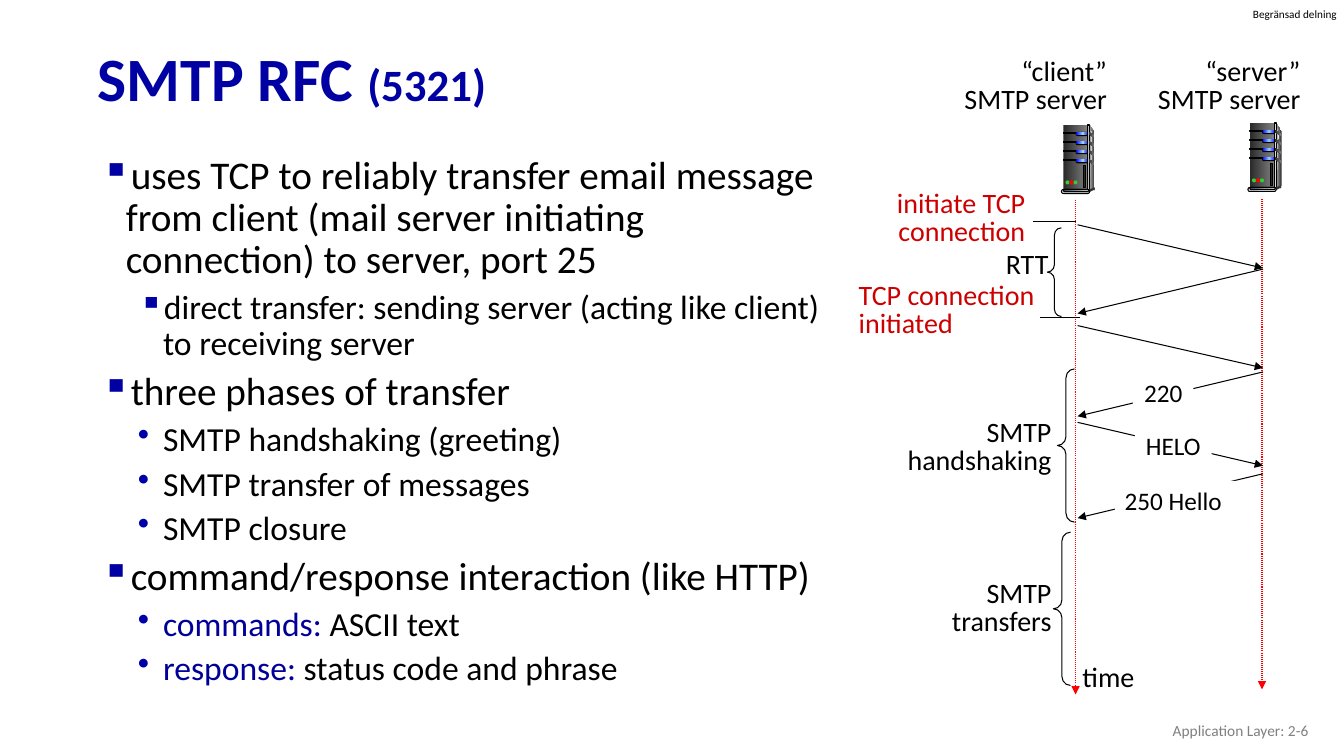
from copy import deepcopy
from dataclasses import dataclass
from typing import Any

from pptx import Presentation
from pptx.dml.color import RGBColor
from pptx.enum.dml import MSO_LINE as Dash
from pptx.enum.shapes import MSO_CONNECTOR as Connector, MSO_SHAPE as Preset
from pptx.enum.text import MSO_ANCHOR as Anchor, MSO_AUTO_SIZE as AutoSize, PP_ALIGN as Align
from pptx.oxml.ns import qn
from pptx.oxml.xmlchemy import OxmlElement
from pptx.util import Inches, Pt

BLACK = RGBColor(0x00, 0x00, 0x00)
WHITE = RGBColor(0xFF, 0xFF, 0xFF)
RED = RGBColor(0xFF, 0x00, 0x00)
CRIMSON = RGBColor(0xCC, 0x00, 0x00)
GREEN = RGBColor(0x33, 0xCC, 0x33)
NAVY = RGBColor(0x00, 0x00, 0xA3)
BULLET_BLUE = RGBColor(0x00, 0x00, 0xA8)
TERM_BLUE = RGBColor(0x00, 0x00, 0x99)
BLUE = RGBColor(0x00, 0x00, 0xFF)
SKY = RGBColor(0x99, 0xCC, 0xFF)
SLATE = RGBColor(0x44, 0x54, 0x6A)
PALE = RGBColor(0xE7, 0xE6, 0xE6)
COAL = RGBColor(0x29, 0x29, 0x29)
DARK = RGBColor(0x33, 0x33, 0x33)
GRAY = RGBColor(0x80, 0x80, 0x80)
SILVER = RGBColor(0xDD, 0xDD, 0xDD)
GLEAM = RGBColor(0xF8, 0xF8, 0xF8)

# The grid: 133.33 columns by 75 rows of square cells
CELL = Inches(0.1)
COLUMNS, ROWS = 133.33, 75


def cells(*counts):
    return [round(count * CELL) for count in counts]


def write(paragraph, text, *, size=20, color=BLACK, bold=False, font="Calibri",
          align=Align.LEFT, spacing=None, before=0):
    run = paragraph.add_run()
    run.text = text
    run.font.name, run.font.size, run.font.bold = font, Pt(size), bold
    run.font.color.rgb = color
    paragraph.alignment = align
    paragraph.line_spacing = spacing
    paragraph.space_before = Pt(before)


@dataclass
class Canvas:
    slide: Any
    shapes: Any
    line_width: float = 0.75

    def group(self):
        return Canvas(self.slide, self.shapes.add_group_shape().shapes)

    def title(self, box, parts):
        title = self.slide.shapes.title
        title.left, title.top, title.width, title.height = cells(*box)
        title.text_frame.vertical_anchor = Anchor.MIDDLE
        for text, size in parts:
            write(title.text_frame.paragraphs[0], text, size=size, color=NAVY,
                  bold=True, spacing=0.9)

    def text(self, box, lines, *, wrap=True, fill=None, inset=None, anchor=Anchor.TOP, **style):
        shape = self.shapes.add_textbox(*cells(*box))
        frame = shape.text_frame
        frame.word_wrap = wrap
        frame.auto_size = AutoSize.SHAPE_TO_FIT_TEXT
        frame.vertical_anchor = anchor
        if inset is not None:
            frame.margin_left = frame.margin_right = inset
            frame.margin_top = frame.margin_bottom = inset
        if fill:
            shape.fill.solid()
            shape.fill.fore_color.rgb = fill
        for index, line in enumerate(lines):
            paragraph = frame.add_paragraph() if index else frame.paragraphs[0]
            write(paragraph, line, **style)

    def bullets(self, box, items):
        frame = self.shapes.add_textbox(*cells(*box)).text_frame
        frame.word_wrap = True
        for index, (level, mark, term, text) in enumerate(items):
            paragraph = frame.add_paragraph() if index else frame.paragraphs[0]
            paragraph.level = level
            for part, color in ((term, TERM_BLUE), (text, BLACK)):
                if part:
                    write(paragraph, part, size=28 - 4 * level, color=color,
                          spacing=0.9, before=6)
            properties = paragraph._p.get_or_add_pPr()
            square = mark == "▪"
            properties.set("marL", str(Inches(0.76 if level else 0.39)))
            properties.set("indent", str(-Inches(0.24 if square else 0.25)))
            bullet_color = OxmlElement("a:buClr")
            value = OxmlElement("a:srgbClr")
            value.set("val", str(NAVY if square else BULLET_BLUE))
            bullet_color.append(value)
            character = OxmlElement("a:buChar")
            character.set("char", mark)
            properties.extend([bullet_color, character])

    def line(self, start, end, *, color=BLACK, dash=None, arrow=False):
        connector = self.shapes.add_connector(Connector.STRAIGHT, *cells(*start, *end))
        connector.line.color.rgb = color
        connector.line.width = Pt(self.line_width)
        if dash:
            connector.line.dash_style = dash
        if arrow:
            head = OxmlElement("a:tailEnd")
            head.set("type", "triangle")
            connector.line._get_or_add_ln().append(head)
        connector._element.spPr.append(OxmlElement("a:effectLst"))

    def paint(self, shape, colors, outlined):
        shape.shadow.inherit = False
        if not colors:
            shape.fill.background()
        elif len(colors) == 1:
            shape.fill.solid()
            shape.fill.fore_color.rgb = colors[0]
        else:
            shape.fill.gradient()
            shape.fill.gradient_angle = 0
            stops = shape._element.spPr.find(".//" + qn("a:gsLst"))
            for _ in colors[2:]:
                stops.append(deepcopy(stops[0]))
            for index, (stop, color) in enumerate(zip(shape.fill.gradient_stops, colors)):
                stop.color.rgb = color
                stop.position = index / (len(colors) - 1)
        if outlined:
            shape.line.color.rgb = BLACK
            shape.line.width = Pt(self.line_width)
        else:
            shape.line.fill.background()

    def preset(self, kind, box, *colors, outlined=False, adjust=()):
        shape = self.shapes.add_shape(kind, *cells(*box))
        for index, value in enumerate(adjust):
            shape.adjustments[index] = value
        self.paint(shape, colors, outlined)

    def pill(self, box, *colors, outlined=False):
        self.preset(Preset.ROUNDED_RECTANGLE, box, *colors, outlined=outlined, adjust=[0.5])

    def brace(self, *box):
        self.preset(Preset.LEFT_BRACE, box, outlined=True, adjust=[0.52, 0.5])

    def outline(self, points, *colors):
        first, *rest = [cells(*point) for point in points]
        builder = self.shapes.build_freeform(*first)
        builder.add_line_segments(rest, close=True)
        self.paint(builder.convert_to_shape(), colors, False)

    def server(self, left, top):
        tower = self.group()

        def box(x, y, width, height):
            return left + x, top + y, width, height

        def points(*pairs):
            return [(left + x, top + y) for x, y in pairs]

        # Case
        tower.outline(points((2.8, 0), (3.3, 0.8), (3.3, 6.2), (2.6, 6.5)), SILVER, DARK)
        tower.preset(Preset.RECTANGLE, box(0.2, 0, 2.4, 6.5), COAL, GRAY)
        tower.outline(points((2.8, 0.4), (3.1, 0.9), (2.8, 6.3)), GRAY, GLEAM)
        # Drive bays, front edge and side fins
        bays = [0.7 + 0.9 * bay for bay in range(4)]
        for y in bays:
            tower.preset(Preset.RECTANGLE, box(0.2, y, 1.4, 0.1), BLACK, outlined=True)
            tower.pill(box(1.4, y, 1.4, 0.4), BLACK)
            tower.pill(box(1.45, y, 1.3, 0.3), BLUE, SKY, BLUE)
        tower.preset(Preset.RECTANGLE, box(2.6, 0, 0.2, 6.5), DARK, SILVER, DARK, outlined=True)
        for y in bays:
            tower.outline(points((2.7, y), (3.3, y + 0.35), (3.3, y + 0.55), (2.7, y + 0.25)),
                          COAL, GRAY)
        # Foot, lights and vent
        tower.preset(Preset.OVAL, box(3.2, 6.2, 0.1, 0.3), DARK)
        tower.outline(points((2.7, 6.4), (2.7, 6.7), (3.3, 6.4), (3.3, 6.2)), DARK)
        tower.pill(box(0, 6.4, 2.8, 0.4), SILVER, outlined=True)
        tower.pill(box(0.2, 6.4, 2.5, 0.2), SLATE, PALE, outlined=True)
        for index, color in enumerate((GREEN, RED, GREEN)):
            tower.preset(Preset.OVAL, box(0.4 + 0.4 * index, 5.5, 0.4, 0.4), color)
        tower.preset(Preset.RECTANGLE, box(2.2, 4, 0.2, 2.2), COAL, outlined=True)


def main():
    presentation = Presentation()
    presentation.slide_width, presentation.slide_height = cells(COLUMNS, ROWS)
    slide = presentation.slides.add_slide(presentation.slide_layouts[5])
    canvas = Canvas(slide, slide.shapes)

    # Heading and bullets
    canvas.text((124.3, 0.7, 8.6, 1.3), ["Begränsad delning"], size=8, inset=0, wrap=False)
    canvas.title((8.7, 3.2, 115, 9.8), [("SMTP RFC ", 44), ("(5321)", 32)])
    canvas.bullets((7.6, 14.9, 75.3, 50.8), [
        (0, "▪", "", "uses TCP to reliably transfer email message from client "
                     "(mail server initiating connection) to server, port 25"),
        (1, "▪", "", "direct transfer: sending server (acting like client) to receiving server"),
        (0, "▪", "", "three phases of transfer"),
        (1, "•", "", "SMTP handshaking (greeting)"),
        (1, "•", "", "SMTP transfer of messages"),
        (1, "•", "", "SMTP closure"),
        (0, "▪", "", "command/response interaction (like HTTP)"),
        (1, "•", "commands:", " ASCII text"),
        (1, "•", "response:", " status code and phrase")])

    # Time axes and the messages, which alternate in direction
    for x, top, bottom in ((106.7, 19.8, 68.9), (125.2, 19.7, 68.4)):
        canvas.line((x, top), (x, bottom), color=RED, dash=Dash.ROUND_DOT, arrow=True)
    client, server = 106.9, 125.3
    messages = [(22.3, 26.6), (26.7, 31.1), (32.3, 36.5), (36.9, 41.3), (41.9, 46.2), (47, 51.4)]
    for index, (sent, received) in enumerate(messages):
        start, end = (server, client) if index % 2 else (client, server)
        canvas.line((start, sent), (end, received), arrow=True)
    for left, right, y in ((102.5, 106.7, 22), (103.2, 107.1, 31.5)):
        canvas.line((left, y), (right, y))

    # Message labels
    for box, label, align in (((112.4, 36.9, 6, 4), "220", Align.CENTER),
                              ((110.6, 47.7, 12.3, 4), "250 Hello", Align.LEFT),
                              ((112.6, 42.2, 7.6, 4), "HELO", Align.CENTER)):
        canvas.text(box, [label], size=18, fill=WHITE, align=align)

    # Servers
    for left, top, role, label_left in ((105.3, 12.4, "“client”", 93.9),
                                        (123.8, 12.2, "“server”", 113.1)):
        canvas.server(left, top)
        canvas.text((label_left, 5.3, 16.9, 6.8), [role, "SMTP server"], wrap=False,
                    align=Align.RIGHT, spacing=0.85)

    # Phases
    canvas.brace(103.9, 22.6, 1.4, 8.8)
    canvas.brace(104.9, 36.6, 1.7, 15.2)
    canvas.brace(104.5, 52.8, 1.7, 15.2)
    canvas.text((87.8, 18.4, 14.9, 6.8), ["initiate TCP", "connection"], wrap=False,
                color=CRIMSON, align=Align.RIGHT, spacing=0.85)
    canvas.text((84.2, 27.5, 24, 6.8), ["TCP connection", "initiated"],
                color=CRIMSON, spacing=0.85)
    for left, top, width, label in ((98.8, 24.5, 6.3, "RTT"), (106.4, 65.4, 7.3, "time")):
        canvas.text((left, top, width, 3.9), [label], wrap=False, spacing=0.85)
    for top, label in ((41.1, "SMTP handshaking"), (57.1, "SMTP transfers")):
        canvas.text((87.1, top, 18.2, 6.8), [label], align=Align.RIGHT, spacing=0.85)

    # Footer
    canvas.text((100.8, 70.5, 30, 4), ["Application Layer: 2-6"], size=11, color=GRAY,
                align=Align.RIGHT, anchor=Anchor.MIDDLE)
    presentation.save("out.pptx")


if __name__ == "__main__":
    main()
